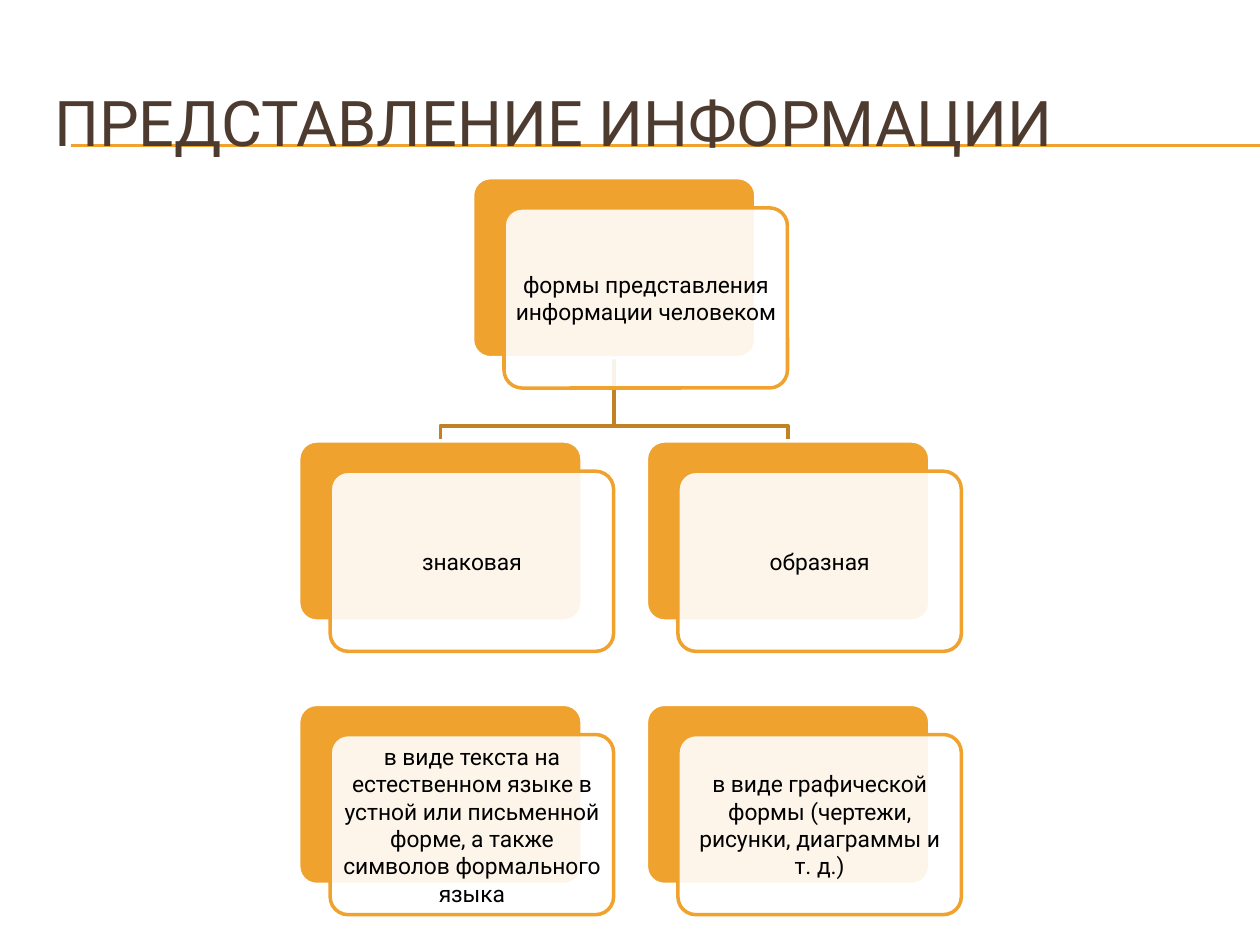
from dataclasses import dataclass

from lxml import etree
from pptx import Presentation
from pptx.dml.color import RGBColor
from pptx.enum.shapes import MSO_CONNECTOR, MSO_SHAPE
from pptx.enum.text import MSO_ANCHOR, MSO_AUTO_SIZE, PP_ALIGN
from pptx.oxml.ns import qn
from pptx.shapes.autoshape import Shape
from pptx.shapes.shapetree import GroupShapes, SlideShapes
from pptx.util import Inches, Pt

ROUND = MSO_SHAPE.ROUNDED_RECTANGLE
STRAIGHT = MSO_CONNECTOR.STRAIGHT
MIDDLE = MSO_ANCHOR.MIDDLE
LEFT, CENTER = PP_ALIGN.LEFT, PP_ALIGN.CENTER
NO_FIT = MSO_AUTO_SIZE.NONE

ORANGE = RGBColor(0xF0, 0xA2, 0x2E)
OCHRE = RGBColor(0xC0, 0x82, 0x25)
BROWN = RGBColor(0x4E, 0x3B, 0x30)
WHITE = RGBColor(0xFF, 0xFF, 0xFF)
BLACK = RGBColor(0, 0, 0)
FONT = "Roboto"

# Grid of cards, in inches
LEFT_X, TOP_Y = 2.37, 1.41
COL_STEP, ROW_STEP = 2.76, 2.09
CARD_W, CARD_H = 2.25, 1.43
SHIFT_X, SHIFT_Y = 0.25, 0.24
BEND = 0.12


@dataclass(frozen=True)
class Card:
    text: str
    col: float
    row: int

    @property
    def x(self) -> float:
        return LEFT_X + self.col * COL_STEP

    @property
    def y(self) -> float:
        return TOP_Y + self.row * ROW_STEP

    @property
    def mid(self) -> float:
        return self.x + CARD_W / 2


ROOT = Card("формы представления информации человеком", 0.5, 0)
SIGN = Card("знаковая", 0, 1)
IMAGE = Card("образная", 1, 1)
CARDS = (
    ROOT,
    SIGN,
    Card("в виде текста на естественном языке в устной или письменной форме, "
         "а также символов формального языка", 0, 2),
    IMAGE,
    Card("в виде графической формы (чертежи, рисунки, диаграммы и т. д.)", 1, 2),
)


def add_rule(shapes: SlideShapes, y: float) -> None:
    rule = shapes.add_connector(STRAIGHT, Inches(0.56), Inches(y), Inches(10), Inches(y))
    rule.line.color.rgb = ORANGE
    rule.line.width = Pt(0.75)
    etree.SubElement(rule.element.spPr, qn("a:effectLst"))


def add_elbow(shapes: GroupShapes, top: Card, low: Card) -> None:
    turn = low.y - BEND
    path = shapes.build_freeform(Inches(top.mid), Inches(top.y + CARD_H))
    points = [(top.mid, turn), (low.mid, turn), (low.mid, low.y)]
    path.add_line_segments([(Inches(x), Inches(y)) for x, y in points], close=False)
    elbow = path.convert_to_shape()
    elbow.shadow.inherit = False
    elbow.fill.background()
    elbow.line.color.rgb = OCHRE
    elbow.line.width = Pt(2)


def add_box(shapes: GroupShapes, x: float, y: float, fill: RGBColor, edge: RGBColor) -> Shape:
    box = shapes.add_shape(ROUND, Inches(x), Inches(y), Inches(CARD_W), Inches(CARD_H))
    box.adjustments[0] = 0.1
    box.shadow.inherit = False
    box.fill.solid()
    box.fill.fore_color.rgb = fill
    box.line.color.rgb = edge
    box.line.width = Pt(2)
    return box


def add_card(shapes: GroupShapes, card: Card) -> None:
    add_box(shapes, card.x, card.y, ORANGE, WHITE)
    front = add_box(shapes, card.x + SHIFT_X, card.y + SHIFT_Y, WHITE, ORANGE)
    tint = front.element.spPr.find(qn("a:solidFill"))[0]
    etree.SubElement(tint, qn("a:alpha"), val="90000")

    frame = front.text_frame
    frame.word_wrap = True
    frame.vertical_anchor = MIDDLE
    frame.margin_left = frame.margin_right = Inches(0.05)
    frame.margin_top = frame.margin_bottom = Inches(0.05)
    frame.text = card.text
    para = frame.paragraphs[0]
    para.alignment = CENTER
    para.space_after = Pt(4.5)
    para.font.name, para.font.size = FONT, Pt(13)
    para.font.color.rgb = BLACK


def set_title(title: Shape, text: str) -> None:
    title.left, title.top = Inches(0.33), Inches(0.5)
    title.width, title.height = Inches(9.5), Inches(0.92)
    frame = title.text_frame
    frame.text = text
    frame.auto_size = NO_FIT
    frame.vertical_anchor = MIDDLE
    para = frame.paragraphs[0]
    para.alignment = LEFT
    para.font.name, para.font.size = FONT, Pt(36)
    para.font.color.rgb = BROWN


def main() -> None:
    deck = Presentation()
    deck.slide_width, deck.slide_height = Inches(10), Inches(7.5)
    slide = deck.slides.add_slide(deck.slide_layouts[5])
    shapes = slide.shapes

    # Double rule, with the title in front of it
    for y in (1.15, 1.16):
        add_rule(shapes, y)
    title = shapes.title
    set_title(title, "ПРЕДСТАВЛЕНИЕ ИНФОРМАЦИИ")
    title.element.getparent().append(title.element)

    # Tree of cards, with the elbows behind
    tree = shapes.add_group_shape().shapes
    for low in (SIGN, IMAGE):
        add_elbow(tree, ROOT, low)
    for card in CARDS:
        add_card(tree, card)

    deck.save("out.pptx")


if __name__ == "__main__":
    main()
